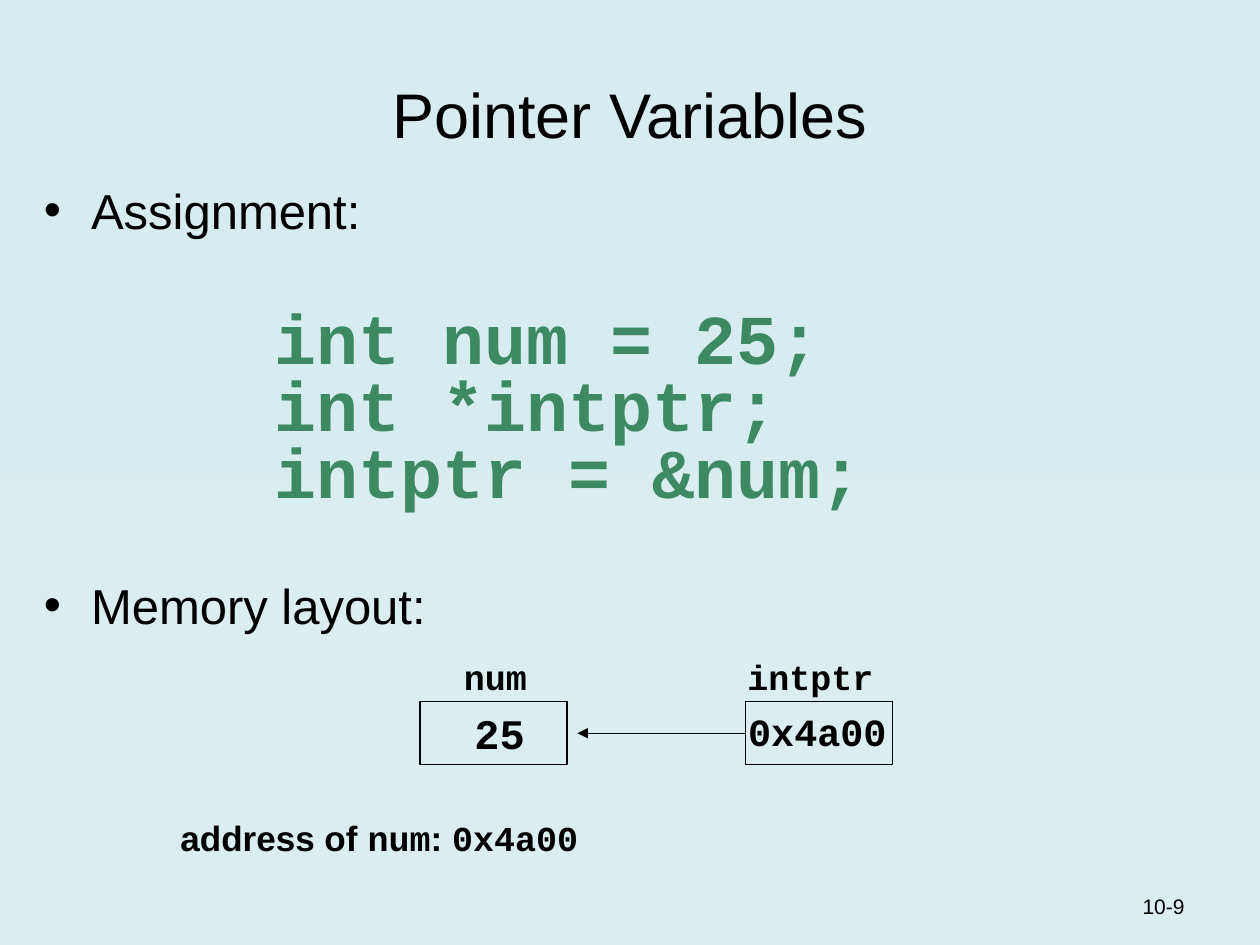
from lxml import etree
from pptx import Presentation
from pptx.dml.color import RGBColor
from pptx.enum.shapes import MSO_CONNECTOR, MSO_SHAPE
from pptx.enum.text import MSO_ANCHOR, PP_ALIGN
from pptx.oxml.ns import qn
from pptx.util import Pt

BLACK = RGBColor(0x00, 0x00, 0x00)
GREEN = RGBColor(0x3D, 0x89, 0x63)
PALE_TOP = RGBColor(0xD6, 0xEC, 0xEE)
PALE_BOTTOM = RGBColor(0xDA, 0xED, 0xEF)
RECTANGLE = MSO_SHAPE.RECTANGLE
STRAIGHT = MSO_CONNECTOR.STRAIGHT
TOP, BOTTOM = MSO_ANCHOR.TOP, MSO_ANCHOR.BOTTOM
LEFT, CENTER, RIGHT = PP_ALIGN.LEFT, PP_ALIGN.CENTER, PP_ALIGN.RIGHT

BODY = dict(name="Arial", size=Pt(28), bold=False)
CODE = dict(name="Courier New", size=Pt(40), bold=True)
LABEL = dict(name="Courier New", size=Pt(20), bold=True)
LABEL_PROSE = dict(LABEL, name="Arial")


def apply(target, values):
    for name, value in values.items():
        setattr(target, name, value)


def add_run(paragraph, text, font, color=BLACK):
    run = paragraph.add_run()
    run.text = text
    apply(run.font, font)
    run.font.color.rgb = color


def add_text(slide, box, runs, wrap=True, anchor=TOP, align=LEFT):
    shape = slide.shapes.add_textbox(*map(Pt, box))
    apply(shape.text_frame, dict(word_wrap=wrap, vertical_anchor=anchor))
    paragraph = shape.text_frame.paragraphs[0]
    paragraph.alignment = align
    for text, font in runs:
        add_run(paragraph, text, font)


def set_indent(paragraph, margin, first_line=0, bullet=None):
    properties = paragraph._p.get_or_add_pPr()
    properties.set("marL", str(Pt(margin)))
    properties.set("indent", str(Pt(first_line)))
    if bullet:
        font = etree.SubElement(properties, qn("a:buFont"))
        font.set("typeface", "Arial")
        etree.SubElement(properties, qn("a:buChar")).set("char", bullet)


def set_background(slide):
    fill = slide.background.fill
    fill.gradient()
    fill.gradient_angle = 90
    for stop, color in zip(fill.gradient_stops, (PALE_BOTTOM, PALE_TOP)):
        stop.color.rgb = color


def add_body(slide, box):
    frame = slide.shapes.add_textbox(*map(Pt, box)).text_frame
    apply(frame, dict(word_wrap=True, margin_right=0, margin_top=Pt(7)))
    lines = [
        ("Assignment:", False, 0),
        ("int num = 25;", True, 41),
        ("int *intptr;", True, 0),
        ("intptr = &num;", True, 0),
        ("Memory layout:", False, 36),
    ]
    for index, (text, is_code, space) in enumerate(lines):
        paragraph = frame.add_paragraph() if index else frame.paragraphs[0]
        if is_code:
            set_indent(paragraph, 132)
            paragraph.line_spacing = 0.8
            add_run(paragraph, text, CODE, GREEN)
        else:
            set_indent(paragraph, 27, -27, "•")
            add_run(paragraph, text, BODY)
        paragraph.space_before = Pt(space)


def add_cell(slide, box):
    shape = slide.shapes.add_shape(RECTANGLE, *map(Pt, box))
    shape.shadow.inherit = False
    shape.fill.background()
    shape.line.color.rgb = BLACK
    shape.line.width = Pt(0.75)
    return shape


def add_arrow(slide, source, end_x, y):
    connector = slide.shapes.add_connector(
        STRAIGHT, source.left, Pt(y), Pt(end_x), Pt(y))
    connector.begin_connect(source, 1)
    connector.line.color.rgb = BLACK
    connector.line.width = Pt(0.75)
    line = connector.line._get_or_add_ln()
    etree.SubElement(line, qn("a:tailEnd")).set("type", "triangle")
    etree.SubElement(connector._element.spPr, qn("a:effectLst"))


def add_memory_layout(slide, box):
    left, top, width, height = box
    cell_width, cell_height = 84, 36
    cell_top = top + 30
    number_left = left + 144
    pointer_left = left + width - cell_width
    add_cell(slide, (number_left, cell_top, cell_width, cell_height))
    pointer = add_cell(slide, (pointer_left, cell_top, cell_width, cell_height))
    add_arrow(slide, pointer, number_left + cell_width + 6,
              cell_top + cell_height / 2)
    texts = [
        (number_left + 18, top, 50.4, 31.7, "num", 20),
        (pointer_left - 6, top, 86.4, 31.7, "intptr", 20),
        (number_left + 24, cell_top, 43.2, 36, "25", 24),
        (pointer_left - 5.5, cell_top, 93.6, 33.8, "0x4a00", 22),
    ]
    for *text_box, text, size in texts:
        font = dict(LABEL, size=Pt(size))
        add_text(slide, text_box, [(text, font)], wrap=False)
    address = [("address of ", LABEL_PROSE), ("num", LABEL),
               (": ", LABEL_PROSE), ("0x4a00", LABEL)]
    add_text(slide, (left, top + height - 31.7, 242, 31.7), address, wrap=False)


def main():
    presentation = Presentation()
    presentation.slide_width = Pt(720)
    presentation.slide_height = Pt(540)
    slide = presentation.slides.add_slide(presentation.slide_layouts[6])
    set_background(slide)
    add_text(slide, (54, 18, 612, 72),
             [("Pointer Variables", dict(BODY, size=Pt(36)))],
             anchor=BOTTOM, align=CENTER)
    add_body(slide, (18, 96, 690, 414))
    add_text(slide, (534, 492.5, 150, 36),
             [("10-9", dict(BODY, size=Pt(12)))], anchor=BOTTOM, align=RIGHT)
    add_memory_layout(slide, (96, 371, 414, 124))
    presentation.save("out.pptx")


if __name__ == "__main__":
    main()
